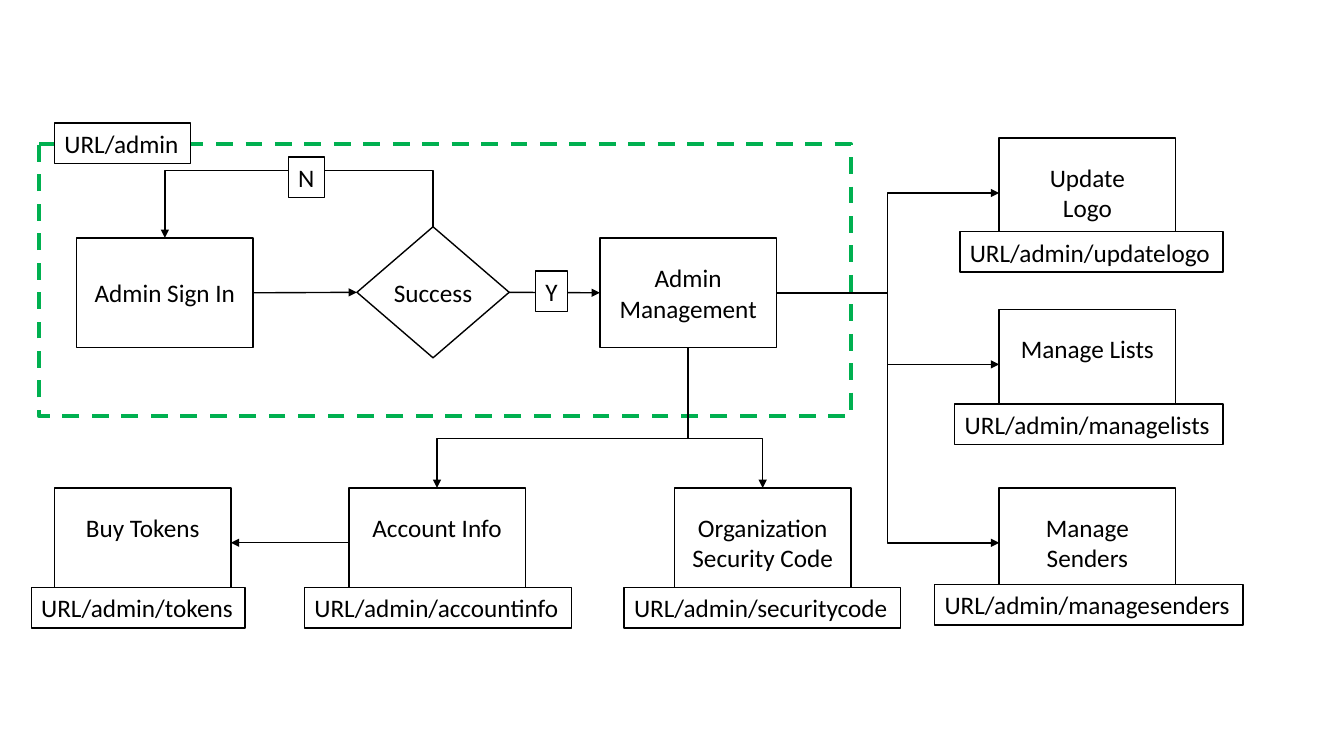
from pptx import Presentation
from pptx.dml.color import RGBColor
from pptx.enum.dml import MSO_LINE
from pptx.enum.shapes import MSO_CONNECTOR, MSO_SHAPE
from pptx.enum.text import MSO_ANCHOR, PP_ALIGN
from pptx.oxml.ns import qn
from pptx.util import Inches, Pt
from lxml.etree import SubElement

COLORS = {"ink": "000000", "paper": "FFFFFF", "frame": "00B050"}
STEP_W, STEP_H, TAG_H = 1.75, 1.09, 0.4
TOP, LEFT, BOTTOM, RIGHT = range(4)


def color(name):
    """Look up a colour by name."""
    return RGBColor.from_string(COLORS[name])


def write(shape, text, size=18, align=PP_ALIGN.CENTER, anchor=MSO_ANCHOR.MIDDLE,
          side=0.1, top=0.05):
    """Fill a shape with text, one paragraph for each line."""
    frame = shape.text_frame
    frame.word_wrap = False
    frame.vertical_anchor = anchor
    frame.margin_left = frame.margin_right = Inches(side)
    frame.margin_top, frame.margin_bottom = Inches(top), Inches(0.05)
    frame.text = text
    for para in frame.paragraphs:
        para.alignment = align
        para.font.size = Pt(size)
        para.font.name = "Calibri"
        para.font.color.rgb = color("ink")


def block(slide, kind, x, y, w, h, line="ink", width=1, fill=None):
    """Add an outlined shape, open or filled."""
    shape = slide.shapes.add_shape(kind, Inches(x), Inches(y), Inches(w), Inches(h))
    shape.shadow.inherit = False
    if fill:
        shape.fill.solid()
        shape.fill.fore_color.rgb = color(fill)
    else:
        shape.fill.background()
    shape.line.color.rgb = color(line)
    shape.line.width = Pt(width)
    return shape


def tag(slide, text, x, y, w):
    """Add a white label with a thin outline."""
    shape = block(slide, MSO_SHAPE.RECTANGLE, x, y, w, TAG_H, fill="paper")
    write(shape, text, align=PP_ALIGN.LEFT)


def step(slide, text, x, y):
    """Add a process box with its text in the middle."""
    shape = block(slide, MSO_SHAPE.FLOWCHART_PROCESS, x, y, STEP_W, STEP_H)
    write(shape, text)
    return shape


def page(slide, text, url, x, y, shift, drop, w):
    """Add a process box with its address tag over the lower edge."""
    shape = step(slide, text, x, y)
    write(shape, text, anchor=MSO_ANCHOR.TOP, top=0.24)
    tag(slide, url, x + shift, y + drop, w)
    return shape


def arrow(slide, start, out, end, into, kind=MSO_CONNECTOR.STRAIGHT):
    """Join two shapes with an arrow."""
    link = slide.shapes.add_connector(kind, 0, 0, 0, 0)
    link.begin_connect(start, out)
    link.end_connect(end, into)
    link.line.color.rgb = color("ink")
    link.line.width = Pt(1)
    props = link._element.spPr
    SubElement(props.find(qn("a:ln")), qn("a:tailEnd"), type="triangle")
    SubElement(props, qn("a:effectLst"))
    return link


def drop_arrow(slide, start, out, end, bend):
    """Join two shapes by an elbow that turns at height bend and enters from above."""
    link = arrow(slide, start, out, end, TOP, MSO_CONNECTOR.ELBOW)
    x1, y1, x2, y2 = link.begin_x, link.begin_y, link.end_x, link.end_y
    long, wide = y2 - y1, abs(x2 - x1)
    link.left, link.top = (x1 + x2 - long) // 2, (y1 + y2 - wide) // 2
    link.width, link.height = long, wide
    props = link._element.spPr
    form = props.find(qn("a:xfrm"))
    for name in ("flipH", "flipV"):
        form.attrib.pop(name, None)
    form.set("rot", str(90 * 60000))
    if x2 > x1:
        form.set("flipV", "1")
    ratio = (Inches(bend) - y1) / long
    guides = props.find(qn("a:prstGeom")).find(qn("a:avLst"))
    SubElement(guides, qn("a:gd"), name="adj1", fmla=f"val {round(ratio * 100000)}")


def login(slide, x, y, w, h):
    """Draw the sign-in flow in its dashed frame and return the last box."""
    row = y + 0.93
    sign = step(slide, "Admin Sign In", x + 0.37, row)
    check = block(slide, MSO_SHAPE.FLOWCHART_DECISION, x + 3.15, y + 0.82, 1.51, 1.3)
    write(check, "Success", side=0)
    hub = step(slide, "Admin\nManagement", x + 5.56, row)
    arrow(slide, sign, RIGHT, check, LEFT)
    drop_arrow(slide, check, TOP, sign, y + 0.26)
    arrow(slide, check, RIGHT, hub, LEFT)
    frame = block(slide, MSO_SHAPE.FLOWCHART_PROCESS, x, y, w, h, "frame", 3)
    frame.line.dash_style = MSO_LINE.DASH
    tag(slide, "Y", x + 4.92, y + 1.26, 0.32)
    tag(slide, "N", x + 2.47, y + 0.13, 0.36)
    tag(slide, "URL/admin", x + 0.15, y - 0.21, 1.35)
    return hub


def tools(slide, hub, x, y):
    """Draw the right column of pages, each fed by the hub."""
    rows = [("Update\nLogo", "updatelogo", 0, -0.39, 0.93, 2.61),
            ("Manage Lists", "managelists", 1.7, -0.44, 0.94, 2.66),
            ("Manage\nSenders", "managesenders", 3.47, -0.64, 0.96, 3.06)]
    for text, url, down, shift, drop, w in rows:
        box = page(slide, text, "URL/admin/" + url, x, y + down, shift, drop, w)
        arrow(slide, hub, RIGHT, box, LEFT, MSO_CONNECTOR.ELBOW)


def account(slide, hub, x, y):
    """Draw the bottom row of pages below the hub."""
    cols = [("Buy Tokens", "tokens", 0, -0.23, 2.12),
            ("Account Info", "accountinfo", 2.92, -0.44, 2.65),
            ("Organization\nSecurity Code", "securitycode", 6.15, -0.5, 2.74)]
    buy, info, code = [page(slide, text, "URL/admin/" + url, x + across, y, shift, 0.99, w)
                       for text, url, across, shift, w in cols]
    for box in (info, code):
        drop_arrow(slide, hub, BOTTOM, box, y - 0.49)
    arrow(slide, info, LEFT, buy, RIGHT)


def main():
    """Build the admin flow slide."""
    deck = Presentation()
    deck.slide_width, deck.slide_height = Inches(13.33), Inches(7.5)
    slide = deck.slides.add_slide(deck.slide_layouts[6])
    hub = login(slide, 0.39, 1.43, 8.05, 2.7)
    tools(slide, hub, 9.91, 1.37)
    account(slide, hub, 0.54, 4.84)
    deck.save("out.pptx")


main()
